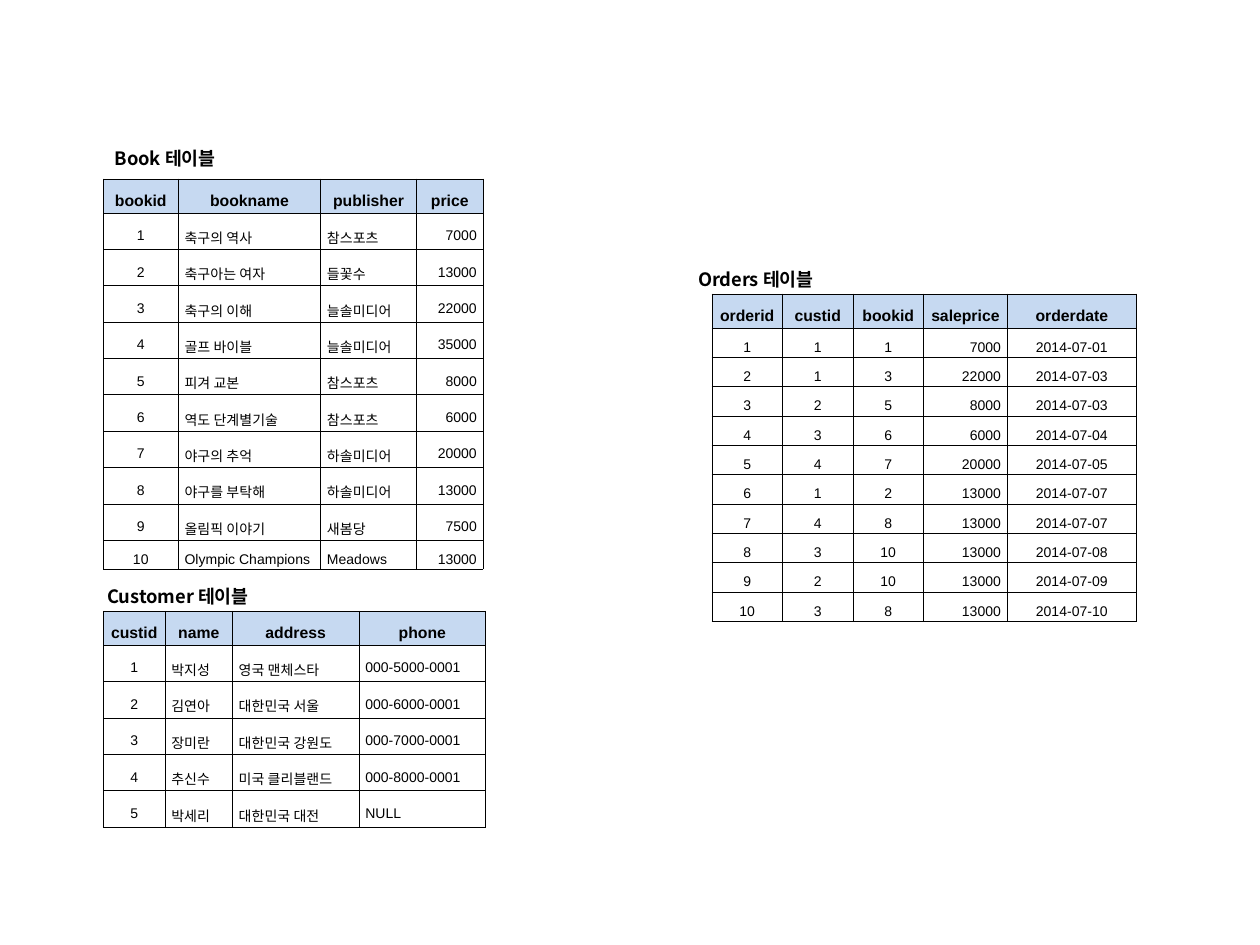
import pptx
import pptx.util
import pptx.dml.color
import pptx.enum.text
import pptx.oxml
import pptx.oxml.ns
import lxml.etree

COLORS = {"ink": "000000", "header": "C6D9F1"}
LATIN, HANGUL = "Arial", "Noto Sans CJK KR"
ALIGN = {
    "l": pptx.enum.text.PP_ALIGN.LEFT,
    "c": pptx.enum.text.PP_ALIGN.CENTER,
    "r": pptx.enum.text.PP_ALIGN.RIGHT,
}
MIDDLE = pptx.enum.text.MSO_ANCHOR.MIDDLE

deck = pptx.Presentation()
deck.slide_width = pptx.util.Inches(10)
deck.slide_height = pptx.util.Inches(7.5)
slide = deck.slides.add_slide(deck.slide_layouts[6])

# Layout unit: one hundredth of the slide's width or height
COL = deck.slide_width / 100
ROW = deck.slide_height / 100
# Rows with Hangul need more height than rows of digits and Latin letters
HEADER_ROW, HANGUL_ROW, LATIN_ROW, CAPTION_ROW = 3.6, 3.85, 3.07, 3.2

# Each table: caption and its place, table place, column widths, alignments, rows
relations = [
    ("Book 테이블", (8.4, 15.1), (8.2, 18.93), (5.95, 11.3, 7.6, 5.3), "cllr", [
        ("bookid", "bookname", "publisher", "price"),
        ("1", "축구의 역사", "참스포츠", "7000"),
        ("2", "축구아는 여자", "들꽃수", "13000"),
        ("3", "축구의 이해", "늘솔미디어", "22000"),
        ("4", "골프 바이블", "늘솔미디어", "35000"),
        ("5", "피겨 교본", "참스포츠", "8000"),
        ("6", "역도 단계별기술", "참스포츠", "6000"),
        ("7", "야구의 추억", "하솔미디어", "20000"),
        ("8", "야구를 부탁해", "하솔미디어", "13000"),
        ("9", "올림픽 이야기", "새봄당", "7500"),
        ("10", "Olympic Champions", "Meadows", "13000"),
    ]),
    ("Customer 테이블", (7.8, 61.5), (8.2, 64.67), (4.9, 5.35, 10.05, 10.05), "clll", [
        ("custid", "name", "address", "phone"),
        ("1", "박지성", "영국 맨체스타", "000-5000-0001"),
        ("2", "김연아", "대한민국 서울", "000-6000-0001"),
        ("3", "장미란", "대한민국 강원도", "000-7000-0001"),
        ("4", "추신수", "미국 클리블랜드", "000-8000-0001"),
        ("5", "박세리", "대한민국 대전", "NULL"),
    ]),
    ("Orders 테이블", (54.7, 27.9), (56.5, 31.1), (5.6, 5.6, 5.6, 6.65, 10.25), "cccrc", [
        ("orderid", "custid", "bookid", "saleprice", "orderdate"),
        ("1", "1", "1", "7000", "2014-07-01"),
        ("2", "1", "3", "22000", "2014-07-03"),
        ("3", "2", "5", "8000", "2014-07-03"),
        ("4", "3", "6", "6000", "2014-07-04"),
        ("5", "4", "7", "20000", "2014-07-05"),
        ("6", "1", "2", "13000", "2014-07-07"),
        ("7", "4", "8", "13000", "2014-07-07"),
        ("8", "3", "10", "13000", "2014-07-08"),
        ("9", "2", "10", "13000", "2014-07-09"),
        ("10", "3", "8", "13000", "2014-07-10"),
    ]),
]


def write(paragraph, text, latin, size, bold):
    run = paragraph.add_run()
    run.text = text
    for font in (paragraph.font, run.font):
        font.name, font.size, font.bold = latin, pptx.util.Pt(size), bold
        font.color.rgb = pptx.dml.color.RGBColor.from_string(COLORS["ink"])
        # Typeface for the Hangul letters
        hangul = lxml.etree.Element(pptx.oxml.ns.qn("a:ea"), typeface=HANGUL)
        font._element.find(pptx.oxml.ns.qn("a:latin")).addnext(hangul)


def outline(cell):
    properties = cell._tc.get_or_add_tcPr()
    for position, side in enumerate(("lnL", "lnR", "lnT", "lnB")):
        border = pptx.oxml.parse_xml(
            f'<a:{side} {pptx.oxml.ns.nsdecls("a")} w="{pptx.util.Pt(0.28)}">'
            f'<a:solidFill><a:srgbClr val="{COLORS["ink"]}"/></a:solidFill></a:{side}>')
        properties.insert(position, border)


for caption, caption_at, table_at, widths, aligns, records in relations:
    # Table grid
    heights = [HEADER_ROW] + [
        LATIN_ROW if "".join(record).isascii() else HANGUL_ROW for record in records[1:]]
    grid = slide.shapes.add_table(
        len(records), len(widths), int(table_at[0] * COL), int(table_at[1] * ROW),
        int(sum(widths) * COL), int(sum(heights) * ROW)).table
    grid.first_row = grid.horz_banding = False
    for column, width in zip(grid.columns, widths):
        column.width = int(width * COL)
    for row, height in zip(grid.rows, heights):
        row.height = int(height * ROW)

    # Header and data cells
    for r, record in enumerate(records):
        header = r == 0
        for c, value in enumerate(record):
            cell = grid.cell(r, c)
            cell.margin_left = cell.margin_right = pptx.util.Inches(0.05)
            cell.margin_top = cell.margin_bottom = pptx.util.Inches(0.01)
            cell.vertical_anchor = MIDDLE
            if header:
                cell.fill.solid()
                cell.fill.fore_color.rgb = pptx.dml.color.RGBColor.from_string(COLORS["header"])
            else:
                cell.fill.background()
            outline(cell)
            entry = cell.text_frame.paragraphs[0]
            entry.alignment = ALIGN["c" if header else aligns[c]]
            entry.line_spacing = 1.6
            write(entry, value, LATIN, 9 if header else 8, header)

    # Caption above the table
    title = slide.shapes.add_textbox(
        int(caption_at[0] * COL), int(caption_at[1] * ROW),
        int(15.4 * COL), int(CAPTION_ROW * ROW)).text_frame
    title.word_wrap = True
    title.vertical_anchor = MIDDLE
    title.margin_left = title.margin_right = pptx.util.Inches(0.07)
    title.margin_top = title.margin_bottom = pptx.util.Inches(0.04)
    write(title.paragraphs[0], caption, HANGUL, 10.5, True)

deck.save("out.pptx")
